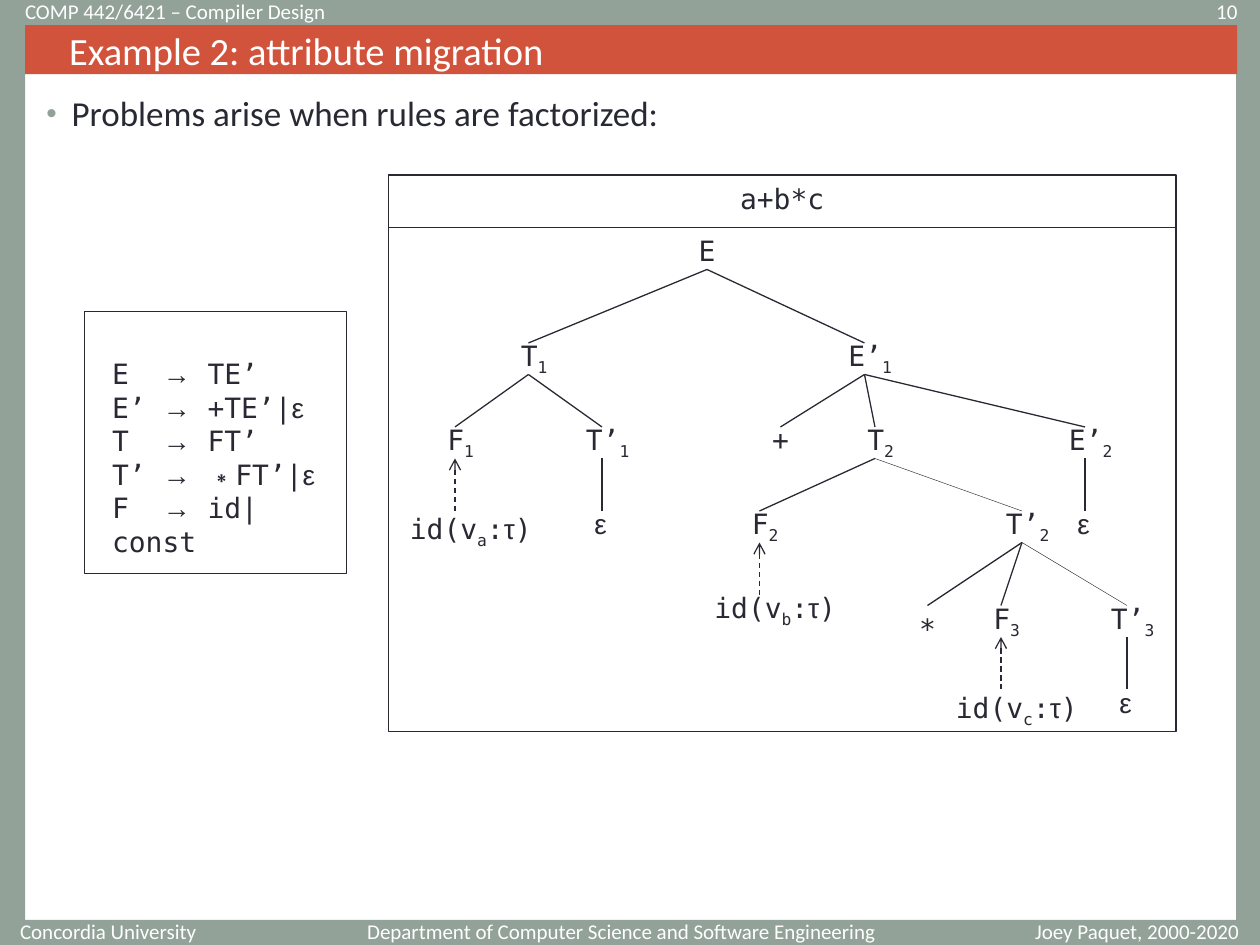
from itertools import groupby

from lxml import etree
from pptx import Presentation
from pptx.dml.color import RGBColor
from pptx.enum import dml, shapes, text
from pptx.oxml.ns import qn
from pptx.util import Pt

SAGE = RGBColor(0x93, 0xA2, 0x99)
BRICK = RGBColor(0xD2, 0x53, 0x3C)
INK = RGBColor(0x29, 0x29, 0x34)
WHITE = RGBColor(0xFF, 0xFF, 0xFF)
SANS, MONO, SYMBOL = "Calibri", "DejaVu Sans Mono", "Arial"
SYMBOLS = "→∗ετ"
LEFT, CENTER, RIGHT = text.PP_ALIGN.LEFT, text.PP_ALIGN.CENTER, text.PP_ALIGN.RIGHT
TOP, MIDDLE = text.MSO_ANCHOR.TOP, text.MSO_ANCHOR.MIDDLE

deck = Presentation()
deck.slide_width, deck.slide_height = Pt(720), Pt(540)
page = deck.slides.add_slide(deck.slide_layouts[6])


def add_rectangle(left, top, width, height, fill=None, line=None):
    box = page.shapes.add_shape(shapes.MSO_SHAPE.RECTANGLE,
                                Pt(left), Pt(top), Pt(width), Pt(height))
    box.shadow.inherit = False
    if fill is None:
        box.fill.background()
    else:
        box.fill.solid()
        box.fill.fore_color.rgb = fill
    if line is None:
        box.line.fill.background()
    else:
        box.line.color.rgb = line
        box.line.width = Pt(0.75)
    return box


def write(words, place=None, box=None, font=MONO, size=16, color=INK, align=LEFT,
          anchor=TOP, wrap=True, indent=0, tabs=(), bullet=False):
    """Write one paragraph per line; "_" lowers the next character to a subscript."""
    if box is None:
        box = page.shapes.add_textbox(*map(Pt, place))
    frame = box.text_frame
    frame.word_wrap, frame.vertical_anchor = wrap, anchor
    if not wrap:
        frame.auto_size = text.MSO_AUTO_SIZE.SHAPE_TO_FIT_TEXT
    for number, line in enumerate(words.split("\n")):
        para = frame.add_paragraph() if number else frame.paragraphs[0]
        para.alignment = align
        properties = para._p.get_or_add_pPr()
        properties.set("marL", str(Pt(indent)))
        if bullet:
            para.space_before = Pt(5)
            properties.set("indent", str(-Pt(indent)))
            tint = etree.SubElement(properties, qn("a:buClr"))
            etree.SubElement(tint, qn("a:srgbClr"), val=str(SAGE))
            etree.SubElement(properties, qn("a:buSzPct"), val="85000")
            etree.SubElement(properties, qn("a:buFont"), typeface="Arial")
            etree.SubElement(properties, qn("a:buChar"), char="•")
        if tabs:
            stops = etree.SubElement(properties, qn("a:tabLst"))
            for stop in tabs:
                etree.SubElement(stops, qn("a:tab"), pos=str(Pt(stop)), algn="l")
        first, *lowered = line.split("_")
        pieces = [(first, False)]
        for piece in lowered:
            pieces += [(piece[0], True), (piece[1:], False)]
        for piece, is_subscript in pieces:
            for is_symbol, letters in groupby(
                    piece, lambda letter: font == MONO and letter in SYMBOLS):
                span = para.add_run()
                span.text = "".join(letters)
                span.font.name = SYMBOL if is_symbol else font
                span.font.size = Pt(size)
                span.font.color.rgb = color
                if is_subscript:
                    span.font._element.set("baseline", "-25000")


# Page border, header and footer
for place in [(0, 0, 720, 14.4), (0, 525.6, 720, 14.4),
              (0, 0, 14.4, 536), (706.4, 13, 13.6, 527)]:
    add_rectangle(*place, fill=SAGE)

for words, left, top, width, align in [
        ("Concordia University ", 2, 527.8, 120, RIGHT),
        ("Department of Computer Science and Software Engineering", 201.6, 527.8, 306, RIGHT),
        ("Joey Paquet, 2000-2020", 575.3, 527.8, 149, CENTER),
        ("10", 630, 2.2, 84.2, RIGHT),
        ("COMP 442/6421 – Compiler Design", 7.2, 2.2, 403, LEFT)]:
    write(words, (left, top, width, 8.6), font=SANS, size=12, color=WHITE,
          align=align, anchor=MIDDLE)

# Title and opening point
title = add_rectangle(14.4, 14.4, 692.6, 28, fill=BRICK)
write("Example 2: attribute migration", box=title, font=SANS, size=22, color=WHITE,
      anchor=MIDDLE, indent=18)
write("Problems arise when rules are factorized:", (19.4, 49, 680.4, 471),
      font=SANS, size=20, indent=14.4, bullet=True)

# Grammar
add_rectangle(48.2, 178, 149.8, 149.8, line=INK)
write("E\t→\tTE’\nE’\t→\t+TE’|ε\nT\t→\tFT’\nT’\t→\t∗FT’|ε\nF\t→\tid|const",
      (57, 200.2, 142.6, 103.7), tabs=(28.9, 54.5))

# Parse tree: name, label, joint x, joint y, parent
NODES = [
    ("E", "E", 404, 136, None),
    ("T1", "T_1", 302, 196, "E"),
    ("E'1", "E’_1", 494, 196, "E"),
    ("F1", "F_1", 260, 244, "T1"),
    ("T'1", "T’_1", 344, 244, "T1"),
    ("plus", "+", 446, 244, "E'1"),
    ("T2", "T_2", 500, 244, "E'1"),
    ("E'2", "E’_2", 620, 244, "E'1"),
    ("id a", "id(v_a:τ)", 260, 292, "F1"),
    ("empty 1", "ε", 344, 292, "T'1"),
    ("F2", "F_2", 434, 292, "T2"),
    ("T'2", "T’_2", 584, 292, "T2"),
    ("empty 2", "ε", 620, 292, "E'2"),
    ("id b", "id(v_b:τ)", 434, 340, "F2"),
    ("times", "*", 530, 346, "T'2"),
    ("F3", "F_3", 572, 346, "T'2"),
    ("T'3", "T’_3", 644, 346, "T'2"),
    ("id c", "id(v_c:τ)", 572, 394, "F3"),
    ("empty 3", "ε", 644, 394, "T'3"),
]
THIN_EDGES = ("T'2", "T'3")
LABEL_RISE = {"id a": 3, "id c": 3, "times": 0}
LABEL_DEPTH = 18
joints = {name: (x, y) for name, label, x, y, parent in NODES}

for name, label, x, y, parent in NODES:
    is_leaf_value = name.startswith("id")
    if is_leaf_value:
        width, shift = 84, 9
    elif label == "ε":
        width, shift = 21, -1
    elif "_" in label:
        width, shift = 10 + 10 * (len(label) - 1), 3.2
    else:
        width, shift = 24, 0
    top = y - LABEL_RISE.get(name, 6)
    write(label, (x + shift - width / 2, top, width, 29.5 if "_" in label else 26.6),
          align=CENTER, wrap=False)
    if parent is None:
        continue
    parent_x, parent_y = joints[parent]
    edge = page.shapes.add_connector(shapes.MSO_CONNECTOR.STRAIGHT, Pt(parent_x),
                                     Pt(parent_y + LABEL_DEPTH), Pt(x), Pt(y))
    etree.SubElement(edge._element.spPr, qn("a:effectLst"))
    edge.line.color.rgb = INK
    edge.line.width = Pt(0.25 if name in THIN_EDGES else 0.75)
    if is_leaf_value:
        edge.line.dash_style = dml.MSO_LINE.DASH
        etree.SubElement(edge.line._get_or_add_ln(), qn("a:headEnd"), type="arrow")

# Frame with the parsed expression on top
add_rectangle(222, 130, 450, 288, line=INK)
add_rectangle(222, 100, 450, 30, line=INK)
write("a+b*c", (414, 100, 66, 26.6), align=CENTER, wrap=False)

deck.save("out.pptx")
